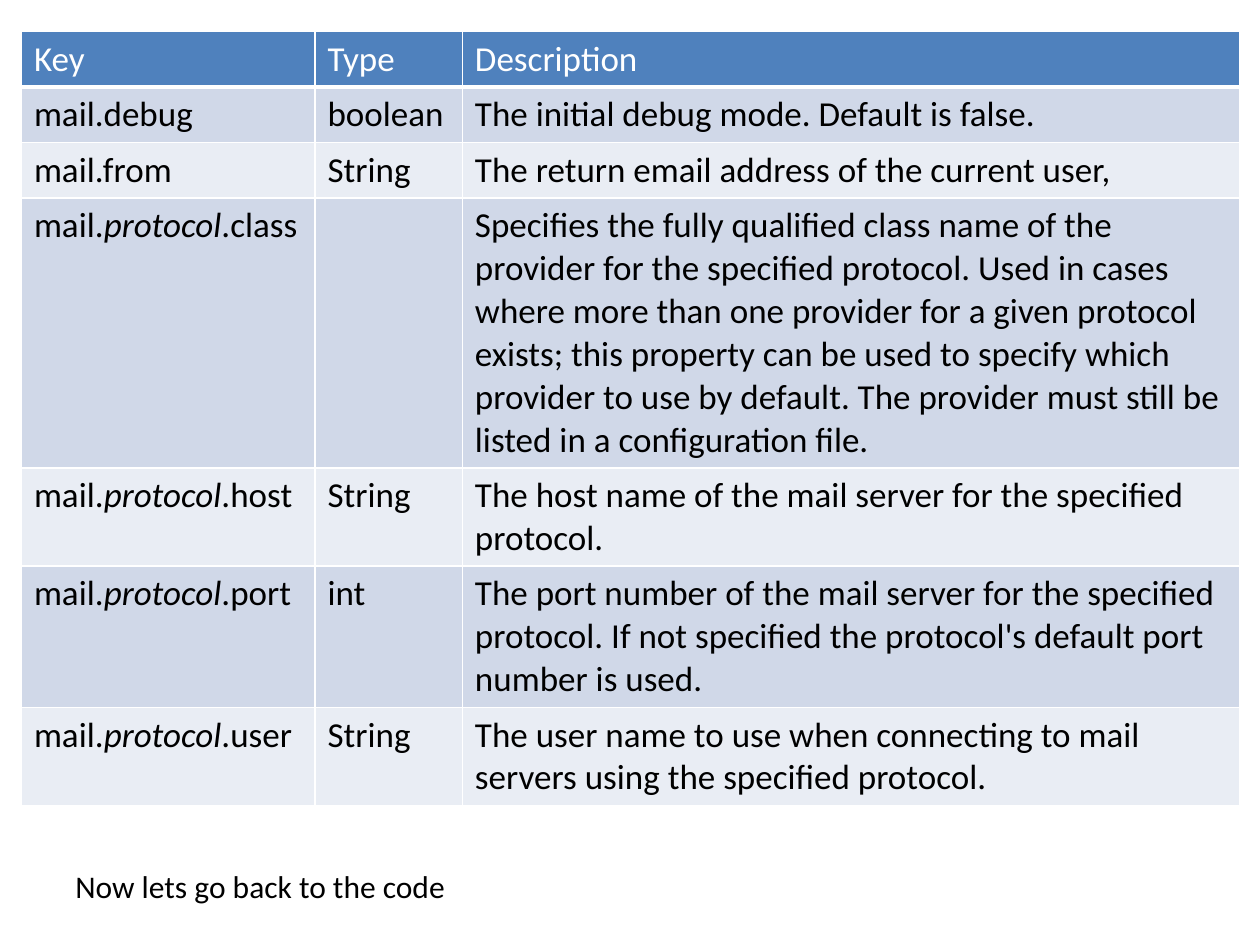
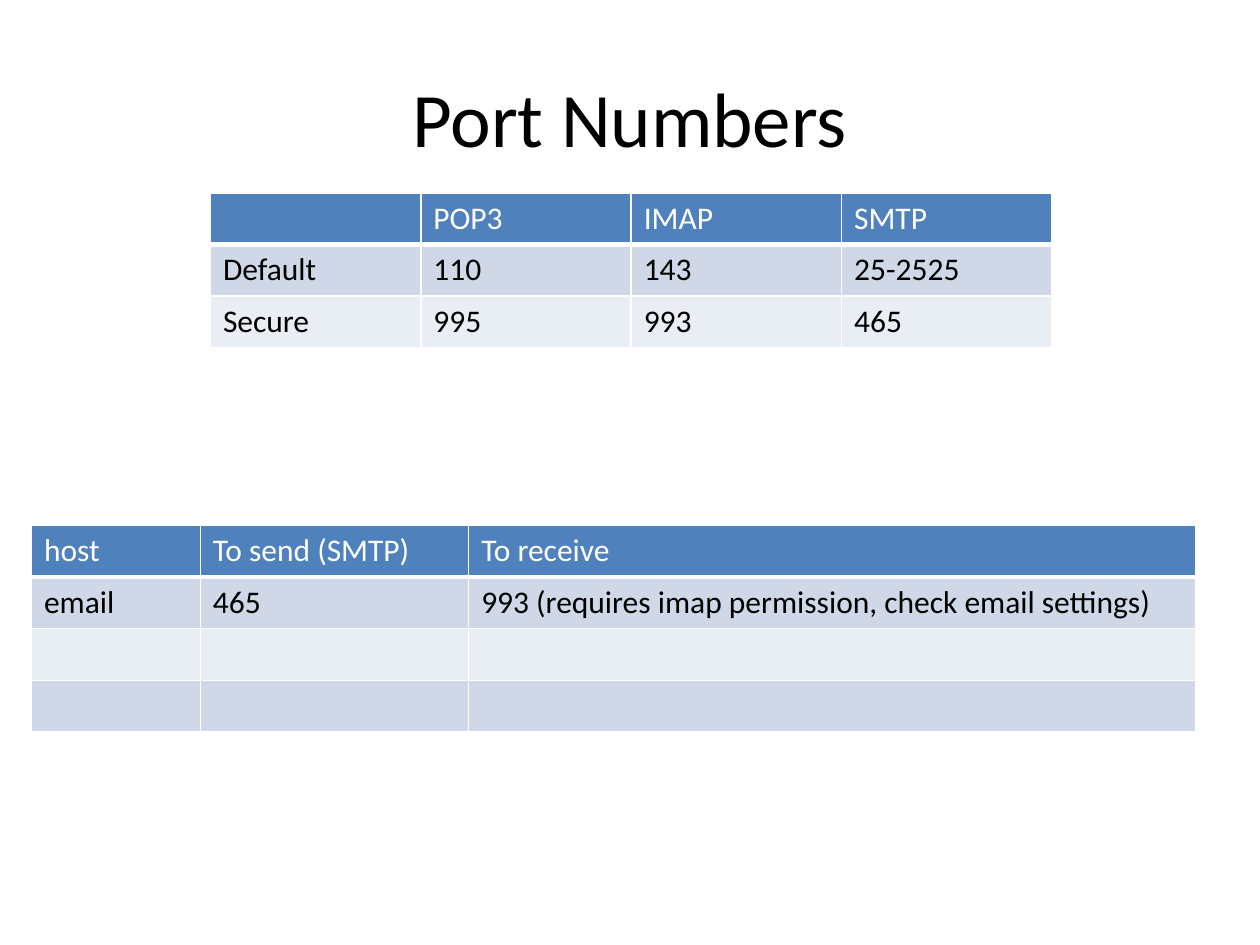
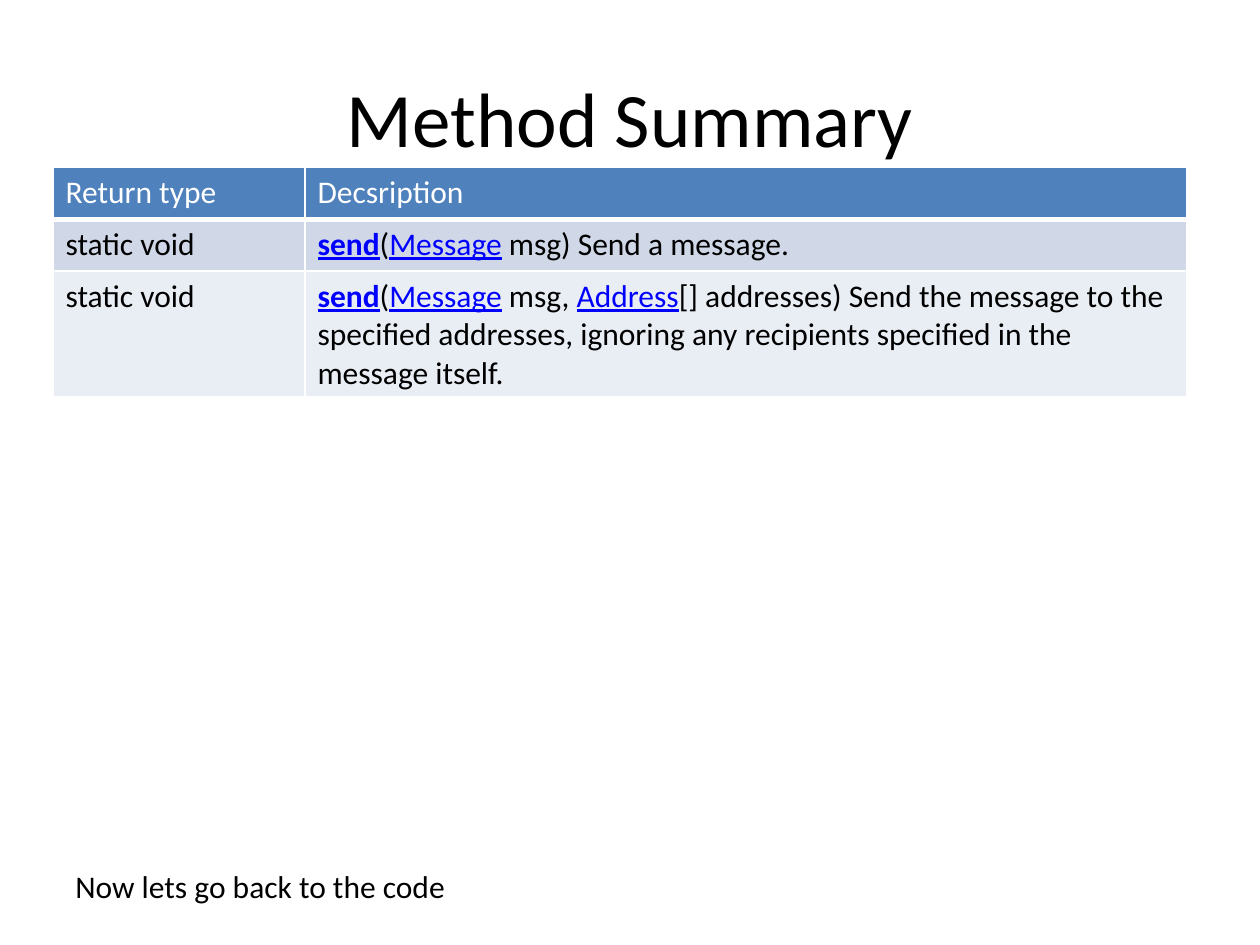
import dataclasses

import lxml.etree
import pptx
import pptx.dml.color
import pptx.enum.text
import pptx.oxml.ns
import pptx.util

Inches = pptx.util.Inches
Pt = pptx.util.Pt


@dataclasses.dataclass(frozen=True)
class Theme:
    font: str = "Calibri"
    text: str = "000000"
    header_text: str = "FFFFFF"
    link: str = "0000FF"
    header_fill: str = "4F81BD"
    band_fills: tuple = ("D0D8E8", "E9EDF4")
    border: str = "FFFFFF"
    border_width: float = 1
    header_rule_width: float = 3
    title_size: int = 44
    body_size: int = 18
    large_size: int = 20
    row_height: float = 0.41


THEME = Theme()


def color(value):
    return pptx.dml.color.RGBColor.from_string(value)


def link(text, bold=False):
    return text, {"color": THEME.link, "underline": True, "bold": bold}


def protocol_key(name):
    return ["mail.", ("protocol", {"italic": True}), f".{name}"]


def add_run(paragraph, text, size=THEME.body_size, color=THEME.text,
            bold=False, italic=False, underline=False):
    run = paragraph.add_run()
    run.text = text
    font = run.font
    font.name = THEME.font
    font.size = Pt(size)
    font.color.rgb = pptx.dml.color.RGBColor.from_string(color)
    font.bold, font.italic, font.underline = bold, italic, underline


def write_text(text_frame, content, alignment=None, **run_format):
    """Write a string, or a list of strings and (text, format) pairs."""
    paragraph = text_frame.paragraphs[0]
    paragraph.alignment = alignment
    pieces = [content] if isinstance(content, str) else content
    for piece in pieces:
        text, own_format = (piece, {}) if isinstance(piece, str) else piece
        if text:
            add_run(paragraph, text, **{**run_format, **own_format})


def add_title(slide, text):
    box = slide.shapes.add_textbox(Inches(0.5), Inches(0.3), Inches(9), Inches(1.25))
    box.text_frame.word_wrap = True
    box.text_frame.vertical_anchor = pptx.enum.text.MSO_ANCHOR.MIDDLE
    write_text(box.text_frame, text, size=THEME.title_size,
               alignment=pptx.enum.text.PP_ALIGN.CENTER)


def add_code_reminder(slide):
    box = slide.shapes.add_textbox(Inches(0.5), Inches(6.83), Inches(3.17), Inches(0.4))
    box.text_frame.word_wrap = False
    box.text_frame.auto_size = pptx.enum.text.MSO_AUTO_SIZE.SHAPE_TO_FIT_TEXT
    write_text(box.text_frame, "Now lets go back to the code")


def set_borders(cell, bottom_width):
    properties = cell._tc.get_or_add_tcPr()
    qn = pptx.oxml.ns.qn
    for side in "LRTB":
        width = bottom_width if side == "B" else THEME.border_width
        line = lxml.etree.SubElement(properties, qn(f"a:ln{side}"), w=str(Pt(width)))
        fill = lxml.etree.SubElement(line, qn("a:solidFill"))
        lxml.etree.SubElement(fill, qn("a:srgbClr"), val=THEME.border)


def add_banded_table(slide, left, top, column_widths, rows, size=THEME.body_size):
    frame = slide.shapes.add_table(
        len(rows), len(column_widths), Inches(left), Inches(top),
        Inches(sum(column_widths)), Inches(THEME.row_height * len(rows)))
    table = frame.table
    table.horz_banding = False
    for column, width in zip(table.columns, column_widths):
        column.width = Inches(width)
    for row_index, (row, contents) in enumerate(zip(table.rows, rows)):
        row.height = Inches(THEME.row_height)
        is_header = row_index == 0
        fill = THEME.header_fill if is_header else THEME.band_fills[(row_index - 1) % 2]
        text_color = THEME.header_text if is_header else THEME.text
        bottom_width = THEME.header_rule_width if is_header else THEME.border_width
        for cell, content in zip(row.cells, contents):
            set_borders(cell, bottom_width)
            cell.fill.solid()
            cell.fill.fore_color.rgb = color(fill)
            write_text(cell.text_frame, content, size=size, color=text_color)


def build_mail_properties(slide):
    add_banded_table(slide, 0.17, 0.25, [2.33, 1.17, 6.17], [
        ["Key", "Type", "Description"],
        ["mail.debug", "boolean", "The initial debug mode. Default is false."],
        ["mail.from", "String", "The return email address of the current user,"],
        [protocol_key("class"), "",
         "Specifies the fully qualified class name of the provider for the specified "
         "protocol. Used in cases where more than one provider for a given protocol "
         "exists; this property can be used to specify which provider to use by "
         "default. The provider must still be listed in a configuration file."],
        [protocol_key("host"), "String",
         "The host name of the mail server for the specified protocol."],
        [protocol_key("port"), "int",
         "The port number of the mail server for the specified protocol. If not "
         "specified the protocol's default port number is used."],
        [protocol_key("user"), "String",
         "The user name to use when connecting to mail servers using the specified "
         "protocol."],
    ], size=THEME.large_size)
    add_code_reminder(slide)


def build_port_numbers(slide):
    add_title(slide, "Port Numbers")
    add_banded_table(slide, 1.67, 1.53, [1.67] * 4, [
        ["", "POP3", "IMAP", "SMTP"],
        ["Default", "110", "143", "25-2525"],
        ["Secure", "995", "993", "465"],
    ])
    add_banded_table(slide, 0.25, 4.17, [1.34, 2.13, 5.77], [
        ["host", "To send (SMTP)", "To receive"],
        ["email", "465", "993 (requires imap permission, check email settings)"],
        [""] * 3,
        [""] * 3,
    ])


def build_method_summary(slide):
    add_title(slide, "Method Summary")
    send_call = [link("send", bold=True), "(", link("Message")]
    add_banded_table(slide, 0.42, 1.33, [2, 7], [
        ["Return type", "Decsription"],
        ["static void", send_call + [" msg) Send a message."]],
        ["static void", send_call + [
            " msg, ", link("Address"),
            "[] addresses) Send the message to the specified addresses, ignoring any "
            "recipients specified in the message itself."]],
    ])
    add_code_reminder(slide)


def main():
    presentation = pptx.Presentation()
    presentation.slide_width = Inches(10)
    presentation.slide_height = Inches(7.5)
    blank_layout = presentation.slide_layouts[6]
    for build in (build_mail_properties, build_port_numbers, build_method_summary):
        build(presentation.slides.add_slide(blank_layout))
    presentation.save("out.pptx")


if __name__ == "__main__":
    main()
